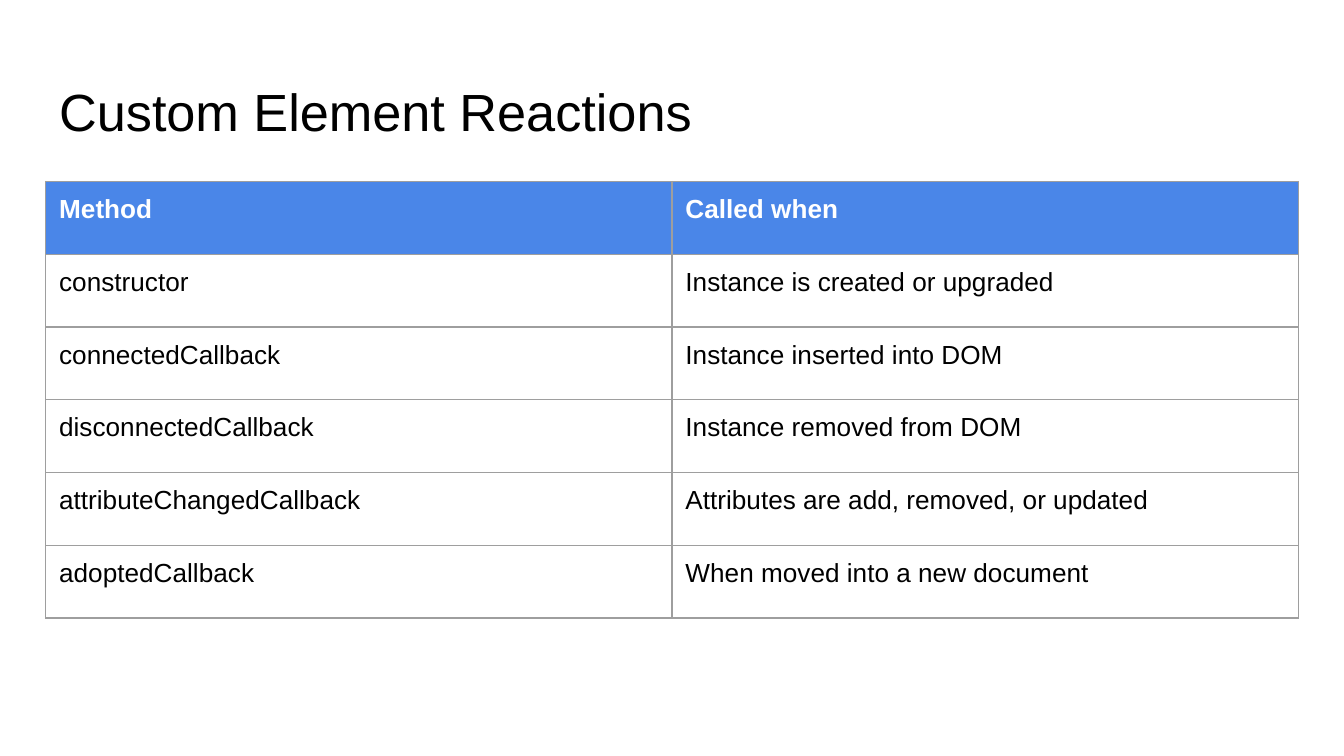
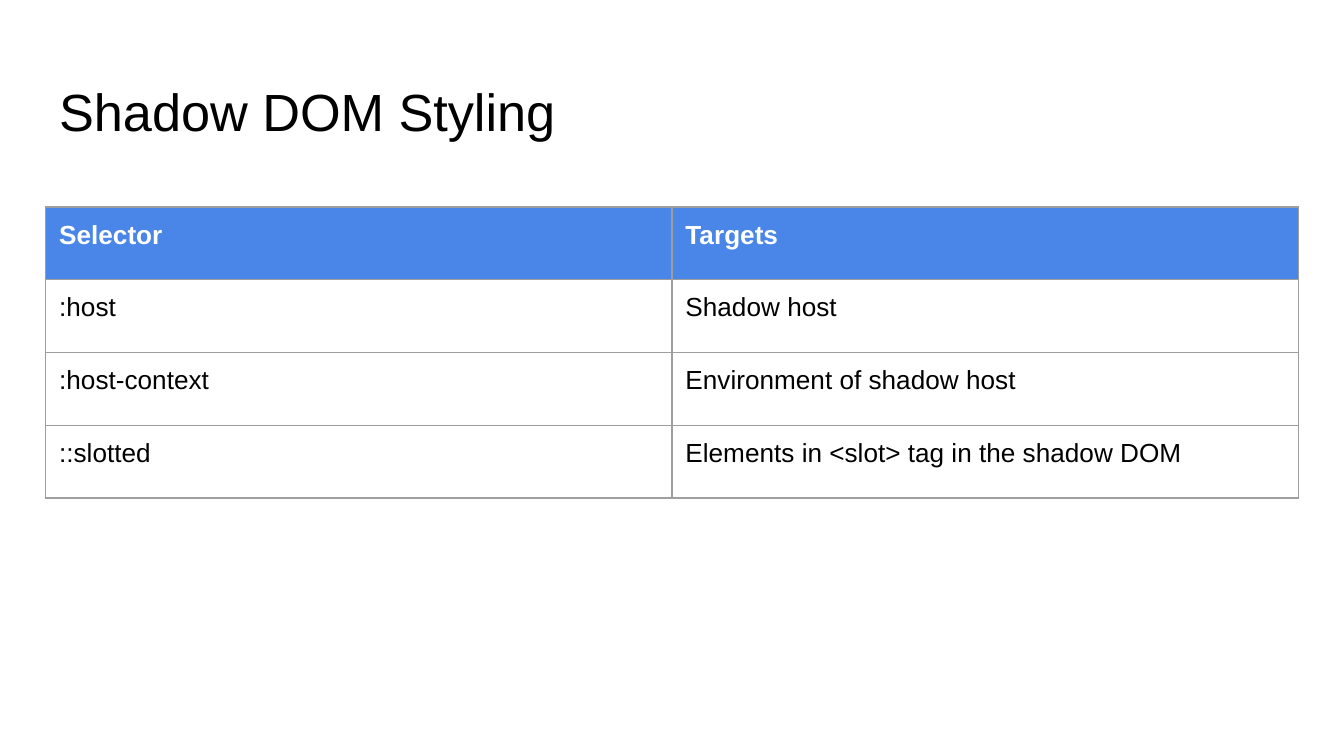
from lxml.etree import SubElement
from pptx import Presentation
from pptx.dml.color import RGBColor
from pptx.enum.text import MSO_ANCHOR as Anchor, MSO_AUTO_SIZE as AutoSize, PP_ALIGN as Align
from pptx.oxml.ns import qn
from pptx.util import Inches, Pt

WIDTH = 10
HEIGHT = WIDTH * 9 / 16
MARGIN = 0.34
CONTENT_WIDTH = WIDTH - 2 * MARGIN
TITLE_BOX = (MARGIN, 0.49, CONTENT_WIDTH, 0.63)
ROW_HEIGHT = 3.25 / 6
INSET = Inches(0.1)
FONT = "Arial"
BLACK, WHITE, BLUE, GRAY = "000000", "FFFFFF", "4A86E8", "9E9E9E"

REACTIONS = [
    ("Method", "Called when"),
    ("constructor", "Instance is created or upgraded"),
    ("connectedCallback", "Instance inserted into DOM"),
    ("disconnectedCallback", "Instance removed from DOM"),
    ("attributeChangedCallback", "Attributes are add, removed, or updated"),
    ("adoptedCallback", "When moved into a new document"),
]
SELECTORS = [
    ("Selector", "Targets"),
    (":host", "Shadow host"),
    (":host-context", "Environment of shadow host"),
    ("::slotted", "Elements in <slot> tag in the shadow DOM"),
]


def paint(target, color):
    target.rgb = RGBColor.from_string(color)


def set_insets(holder):
    holder.margin_left = holder.margin_right = INSET
    holder.margin_top = holder.margin_bottom = INSET


def write(frame, text, size, color, bold=False):
    para = frame.paragraphs[0]
    para.alignment = Align.LEFT
    span = para.add_run()
    span.text = text
    span.font.name = FONT
    span.font.size = Pt(size)
    span.font.bold = bold
    paint(span.font.color, color)


def add_title(page, box, text):
    title = page.shapes.title
    title.left, title.top, title.width, title.height = map(Inches, box)
    frame = title.text_frame
    frame.word_wrap = True
    frame.auto_size = AutoSize.NONE
    frame.vertical_anchor = Anchor.TOP
    set_insets(frame)
    write(frame, text, 28, BLACK)


def add_borders(cell, color, width):
    properties = cell._tc.get_or_add_tcPr()
    for side in ("lnL", "lnR", "lnT", "lnB"):
        line = SubElement(properties, qn(f"a:{side}"), w=str(Pt(width)))
        fill = SubElement(line, qn("a:solidFill"))
        SubElement(fill, qn("a:srgbClr"), val=color)


def fill_cell(cell, text, is_header):
    set_insets(cell)
    cell.vertical_anchor = Anchor.TOP
    add_borders(cell, GRAY, 0.75)
    if is_header:
        cell.fill.solid()
        paint(cell.fill.fore_color, BLUE)
    else:
        cell.fill.background()
    write(cell.text_frame, text, 14, WHITE if is_header else BLACK, is_header)


def add_grid(page, box, rows):
    table = page.shapes.add_table(len(rows), len(rows[0]), *map(Inches, box)).table
    table.horz_banding = False
    for row, texts in enumerate(rows):
        for column, text in enumerate(texts):
            fill_cell(table.cell(row, column), text, row == 0)


def add_table_page(deck, title, table_top, rows):
    page = deck.slides.add_slide(deck.slide_layouts[5])
    page.background.fill.solid()
    paint(page.background.fill.fore_color, WHITE)
    add_title(page, TITLE_BOX, title)
    add_grid(page, (MARGIN, table_top, CONTENT_WIDTH, ROW_HEIGHT * len(rows)), rows)


def main():
    deck = Presentation()
    deck.slide_width, deck.slide_height = Inches(WIDTH), Inches(HEIGHT)
    add_table_page(deck, "Custom Element Reactions", 1.35, REACTIONS)
    add_table_page(deck, "Shadow DOM Styling", 1.54, SELECTORS)
    deck.save("out.pptx")


if __name__ == "__main__":
    main()
